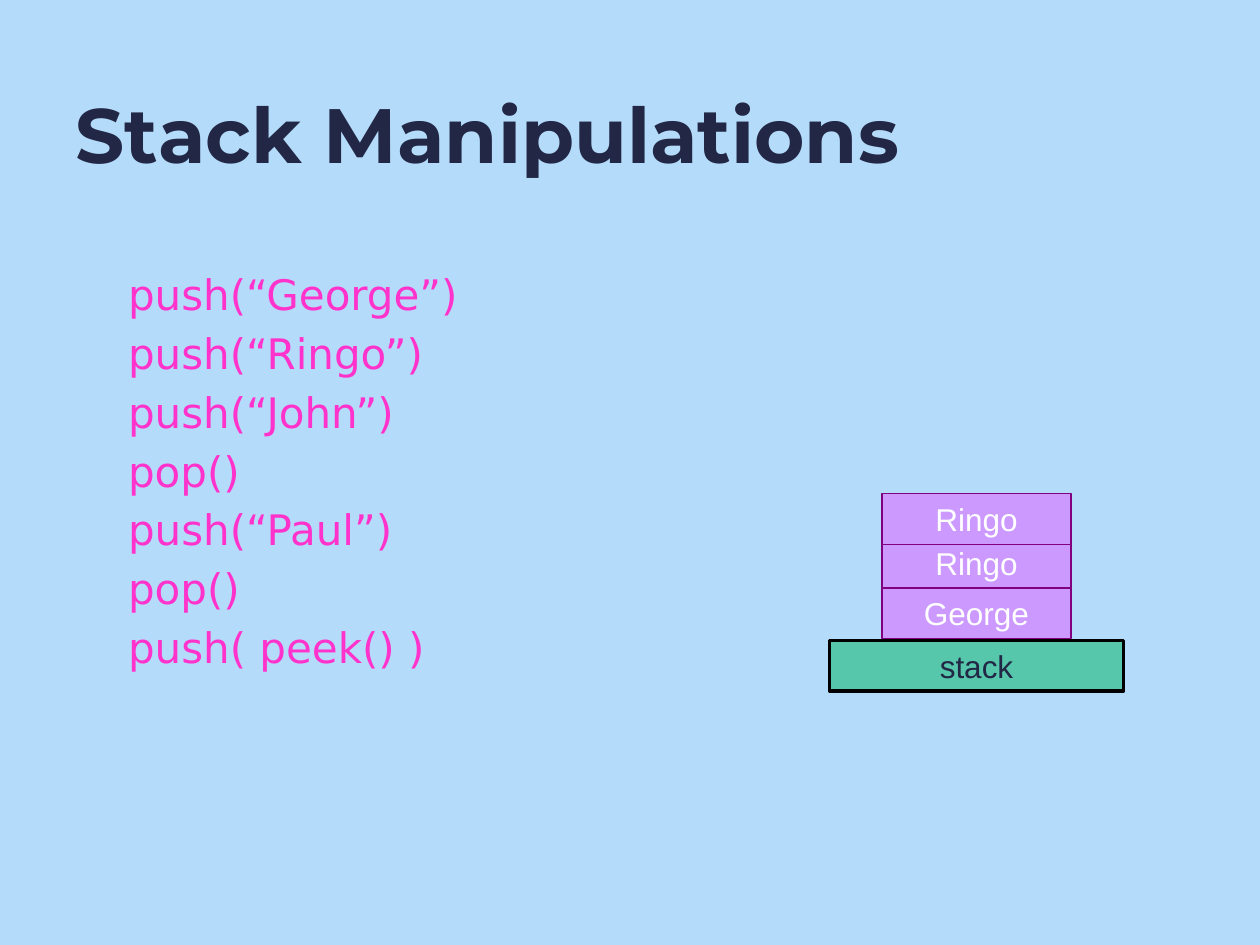
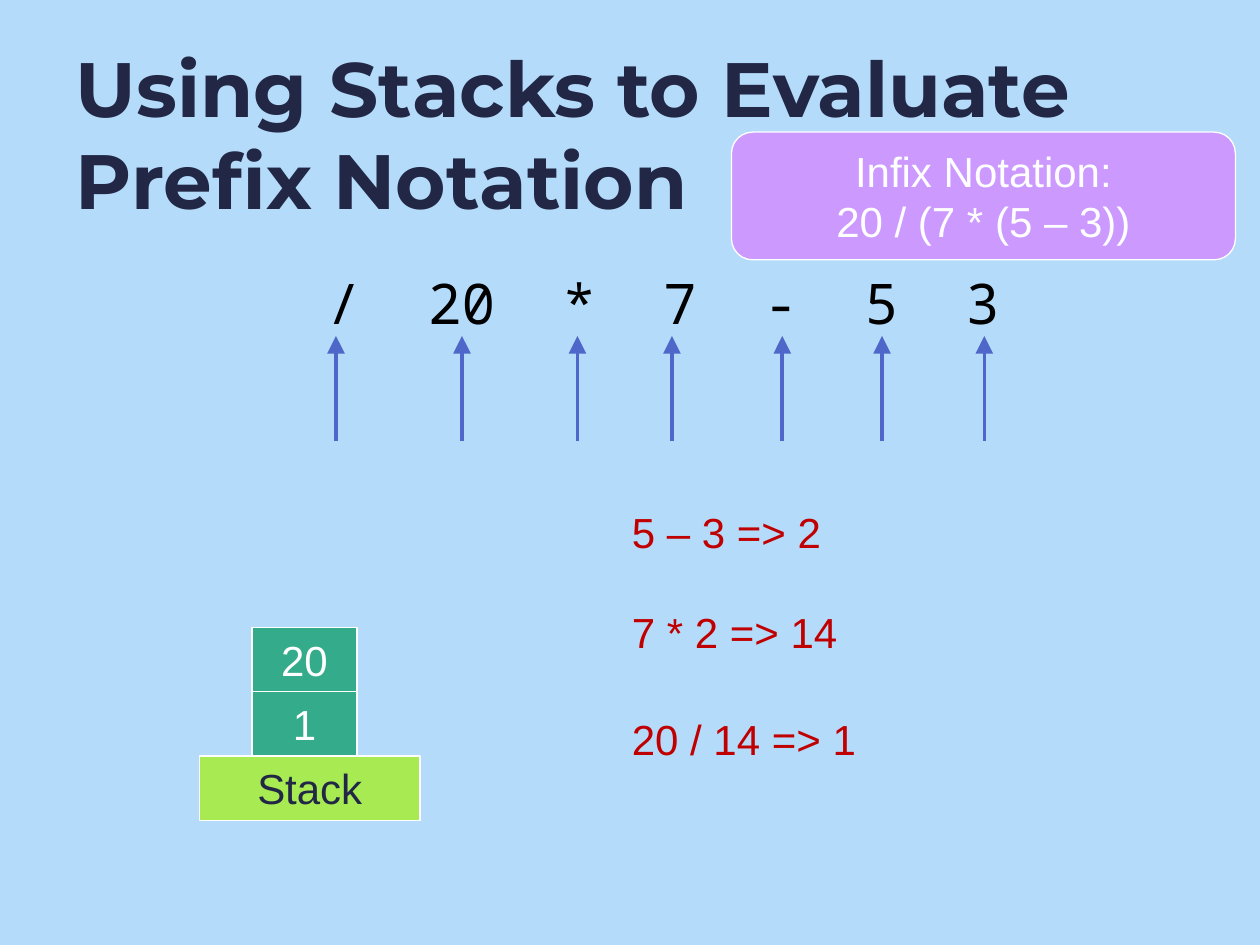
import pptx
import pptx.dml.color
import pptx.enum.shapes
import pptx.enum.text
import pptx.oxml
import pptx.oxml.ns
import pptx.util

Pt = pptx.util.Pt
RGBColor = pptx.dml.color.RGBColor
Shape = pptx.enum.shapes.MSO_SHAPE
Align = pptx.enum.text.PP_ALIGN
Anchor = pptx.enum.text.MSO_ANCHOR

SKY = RGBColor(0xB4, 0xDC, 0xFA)
NAVY = RGBColor(0x21, 0x27, 0x45)
PINK = RGBColor(0xFF, 0x33, 0xCC)
LILAC = RGBColor(0xCC, 0x99, 0xFF)
PURPLE = RGBColor(0x80, 0x00, 0x80)
SEA_GREEN = RGBColor(0x56, 0xC7, 0xAA)
TEAL = RGBColor(0x34, 0xAC, 0x8B)
LIME = RGBColor(0xA7, 0xEA, 0x52)
BLUE = RGBColor(0x4E, 0x67, 0xC8)
RED = RGBColor(0xC0, 0x00, 0x00)
WHITE = RGBColor(0xFF, 0xFF, 0xFF)
BLACK = RGBColor(0, 0, 0)

TITLE_FONT = {"name": "Montserrat", "size": Pt(44), "bold": True}
CODE_FONT = {"name": "DejaVu Sans", "size": Pt(24)}
MONO_FONT = {"name": "Noto Sans Mono", "size": Pt(32)}
LABEL_FONT = {"name": "Arial", "size": Pt(18)}
LARGE_FONT = {"name": "Arial", "size": Pt(24)}

MONO_ADVANCE = 19.2  # width of one character of MONO_FONT
OPERATIONS = ["push(“George”)", "push(“Ringo”)", "push(“John”)", "pop()",
              "push(“Paul”)", "pop()", "push( peek() )"]
PREFIX_TOKENS = ["/", "20", "*", "7", "-", "5", "3"]
ARROW_POSITIONS = [192, 264, 330, 384, 447, 504, 562.5]
RESULTS = [("5 – 3 => 2", 286), ("7 * 2 => 14", 343), ("20 / 14 => 1", 404)]


def place(shape, left, top, width, height):
    box = {"left": left, "top": top, "width": width, "height": height}
    for name, value in box.items():
        setattr(shape, name, Pt(value))


def add_run(paragraph, text, font, color):
    run = paragraph.add_run()
    run.text = text
    for name, value in font.items():
        setattr(run.font, name, value)
    run.font.color.rgb = color
    return run


def write(shape, lines, font, color, align=Align.LEFT, anchor=Anchor.MIDDLE,
          space_before=0):
    """Fill the shape with one paragraph per line, spaced after the first."""
    frame = shape.text_frame
    settings = {"word_wrap": True, "vertical_anchor": anchor,
                "auto_size": pptx.enum.text.MSO_AUTO_SIZE.NONE}
    for name, value in settings.items():
        setattr(frame, name, value)
    for index, line in enumerate(lines):
        paragraph = frame.add_paragraph() if index else frame.paragraphs[0]
        paragraph.alignment = align
        paragraph.space_before = Pt(space_before if index else 0)
        add_run(paragraph, line, font, color)


def add_slide(presentation, title):
    slide = presentation.slides.add_slide(presentation.slide_layouts[1])
    place(slide.shapes.title, 36, 19.5, 660, 112.5)
    write(slide.shapes.title, [title], TITLE_FONT, NAVY)
    return slide


def remove_bullet(paragraph, indent=0):
    properties = paragraph._p.get_or_add_pPr()
    properties.set("marL", str(Pt(indent)))
    properties.set("indent", str(-Pt(indent)))
    properties.append(pptx.oxml.parse_xml(
        f'<a:buNone {pptx.oxml.ns.nsdecls("a")}/>'))


def add_operation_list(slide, operations):
    body = slide.placeholders[1]
    place(body, 66, 150, 630, 330)
    write(body, operations, CODE_FONT, PINK, anchor=Anchor.TOP, space_before=4.8)
    for paragraph in body.text_frame.paragraphs:
        remove_bullet(paragraph, 27)


def add_expression(slide, tokens):
    """Centre the tokens, with each space widened to two characters."""
    body = slide.placeholders[1]
    place(body, 64, 150, 630, 330)
    write(body, tokens[:1], MONO_FONT, BLACK, Align.CENTER, Anchor.TOP)
    paragraph = body.text_frame.paragraphs[0]
    remove_bullet(paragraph)
    for token in tokens[1:]:
        space = add_run(paragraph, " ", MONO_FONT, BLACK)
        space._r.get_or_add_rPr().set("spc", str(round(MONO_ADVANCE * 100)))
        add_run(paragraph, token, MONO_FONT, BLACK)


def add_block(slide, lines, box, fill, line, font, color=WHITE, line_width=0.75,
              kind=Shape.RECTANGLE):
    block = slide.shapes.add_shape(kind, *map(Pt, box))
    block.shadow.inherit = False
    block.fill.solid()
    block.fill.fore_color.rgb = fill
    block.line.color.rgb = line
    block.line.width = Pt(line_width)
    write(block, lines, font, color, Align.CENTER)


def add_result(slide, text, top):
    box = slide.shapes.add_textbox(Pt(354), Pt(top), Pt(186), Pt(36))
    write(box, [text], LARGE_FONT, RED, anchor=Anchor.TOP)


def add_up_arrow(slide, x, bottom=252, top=192):
    arrow = slide.shapes.add_connector(
        pptx.enum.shapes.MSO_CONNECTOR.STRAIGHT, Pt(x), Pt(bottom), Pt(x), Pt(top))
    arrow.line.color.rgb = BLUE
    arrow.line.width = Pt(2)
    namespace = pptx.oxml.ns.nsdecls("a")
    arrow.line._get_or_add_ln().append(pptx.oxml.parse_xml(
        f'<a:tailEnd {namespace} type="triangle" w="lg" len="lg"/>'))
    arrow._element.spPr.append(pptx.oxml.parse_xml(f"<a:effectLst {namespace}/>"))


def build_manipulations(presentation):
    slide = add_slide(presentation, "Stack Manipulations")
    add_operation_list(slide, OPERATIONS)
    add_block(slide, ["stack"], (474, 366, 168, 29), SEA_GREEN, BLACK,
              LABEL_FONT, NAVY, line_width=2)
    for name, top in [("George", 336), ("Ringo", 307), ("Ringo", 282)]:
        add_block(slide, [name], (504, top, 108, 29), LILAC, PURPLE, LABEL_FONT)


def build_prefix_evaluation(presentation):
    slide = add_slide(presentation, "Using Stacks to Evaluate Prefix Notation")
    add_expression(slide, PREFIX_TOKENS)
    for x in ARROW_POSITIONS:
        add_up_arrow(slide, x)
    for text, top in RESULTS:
        add_result(slide, text, top)
    add_block(slide, ["Infix Notation:", "20 / (7 * (5 – 3))"],
              (418, 75.5, 288, 73), LILAC, WHITE, LARGE_FONT,
              kind=Shape.ROUNDED_RECTANGLE)
    height, base_top = 36.7, 432
    add_block(slide, ["Stack"], (114, base_top, 126, height), LIME, WHITE,
              LARGE_FONT, NAVY)
    for level, value in enumerate(["1", "20"], start=1):
        add_block(slide, [value], (144, base_top - level * height, 60, height),
                  TEAL, WHITE, LARGE_FONT)


def main():
    presentation = pptx.Presentation()
    presentation.slide_width, presentation.slide_height = Pt(720), Pt(540)
    background = presentation.slide_master.background.fill
    background.solid()
    background.fore_color.rgb = SKY
    build_manipulations(presentation)
    build_prefix_evaluation(presentation)
    presentation.save("out.pptx")


if __name__ == "__main__":
    main()
